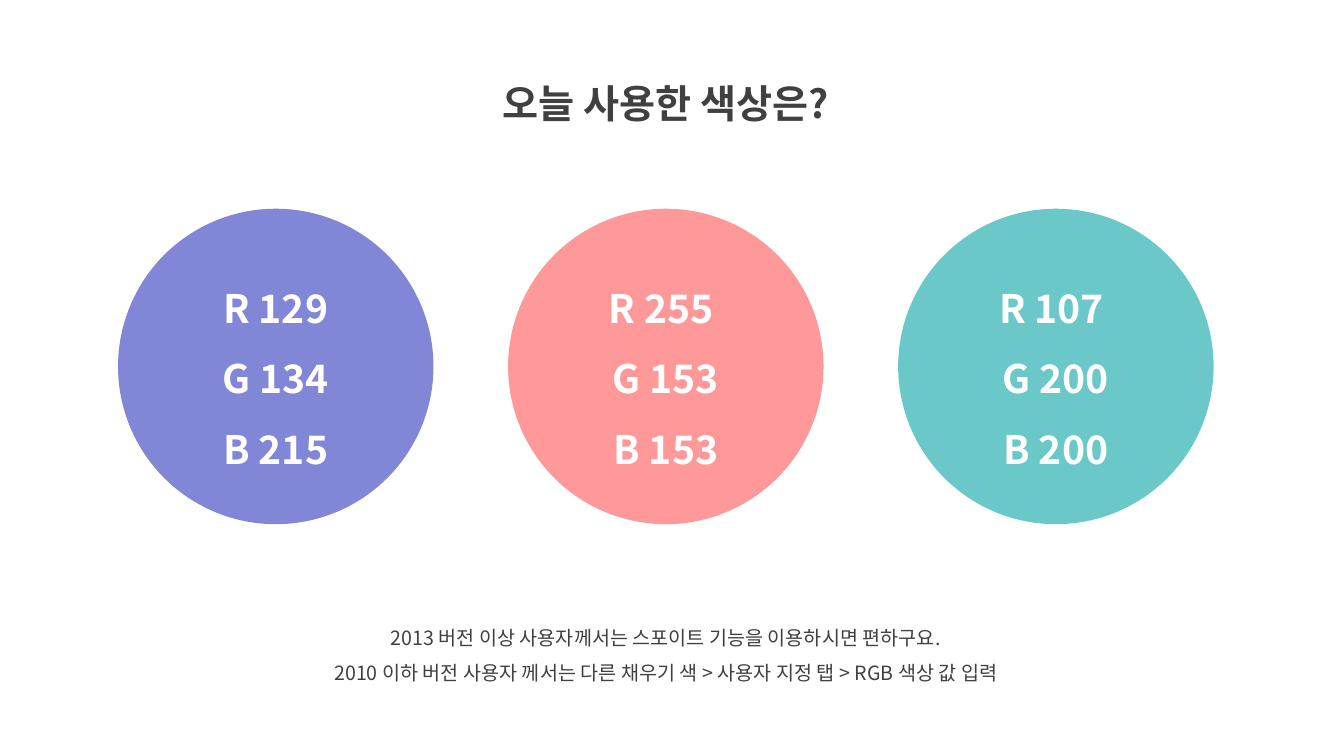
from lxml.etree import SubElement
from pptx import Presentation
from pptx.dml.color import RGBColor
from pptx.enum.shapes import MSO_SHAPE
from pptx.enum.text import MSO_ANCHOR, MSO_AUTO_SIZE, PP_ALIGN
from pptx.oxml.ns import qn
from pptx.util import Cm, Pt

# Content
HEADING = "오늘 사용한 색상은?"
TIPS = [
    "2013 버전 이상 사용자께서는 스포이트 기능을 이용하시면 편하구요.",
    "2010 이하 버전 사용자 께서는 다른 채우기 색 > 사용자 지정 탭 > RGB 색상 값 입력",
]
SWATCHES = [
    ("violet", ["R 129", "G 134", "B 215"]),
    ("pink", ["R 255 ", "G 153", "B 153"]),
    ("teal", ["R 107 ", "G 200", "B 200"]),
]
COLORS = {
    "violet": "8186D7",
    "pink": "FF9999",
    "teal": "6BC8C8",
    "text": "404040",
    "white": "FFFFFF",
}
FONT = "Noto Sans CJK KR"

# Layout, in centimetres
CENTER = 16.78
DIAMETER, PITCH, CIRCLE_TOP = 7.95, 9.83, 5.26


def color(name):
    return RGBColor.from_string(COLORS[name])


def place(part, top, width, height):
    part.left, part.top = Cm(CENTER - width / 2), Cm(top)
    part.width, part.height = Cm(width), Cm(height)


def write(part, lines, size, color_name, bold, anchor):
    frame = part.text_frame
    frame.text = "\n".join(lines)
    frame.word_wrap = True
    frame.auto_size = MSO_AUTO_SIZE.NONE
    frame.vertical_anchor = anchor
    for paragraph in frame.paragraphs:
        paragraph.alignment = PP_ALIGN.CENTER
        paragraph.line_spacing = 1.5
        paragraph.space_before = Pt(0)
        font = paragraph.font
        font.name, font.size, font.bold = FONT, Pt(size), bold
        font.color.rgb = color(color_name)
        # Korean typeface, and no bullet or indent
        properties = paragraph._p.pPr
        defaults = properties.find(qn("a:defRPr"))
        SubElement(defaults, qn("a:ea")).set("typeface", FONT)
        properties.set("marL", "0")
        properties.set("indent", "0")
        defaults.addprevious(SubElement(properties, qn("a:buNone")))


def main():
    deck = Presentation()
    deck.slide_width, deck.slide_height = Cm(33.87), Cm(19.05)
    slide = deck.slides.add_slide(deck.slide_layouts[1])

    # Heading and tips
    heading, tips = slide.placeholders
    place(heading, 1.27, 11.76, 1.83)
    write(heading, [HEADING], 28, "text", True, MSO_ANCHOR.TOP)
    place(tips, 15.34, 20.29, 2.06)
    write(tips, TIPS, 14, "text", False, MSO_ANCHOR.TOP)

    # Colour circles
    first_left = CENTER - PITCH - DIAMETER / 2
    for index, (name, values) in enumerate(SWATCHES):
        circle = slide.shapes.add_shape(
            MSO_SHAPE.OVAL, Cm(first_left + index * PITCH), Cm(CIRCLE_TOP),
            Cm(DIAMETER), Cm(DIAMETER))
        circle.shadow.inherit = False
        circle.fill.solid()
        circle.fill.fore_color.rgb = color(name)
        circle.line.fill.background()
        write(circle, values, 28, "white", True, MSO_ANCHOR.MIDDLE)

    deck.save("out.pptx")


if __name__ == "__main__":
    main()
